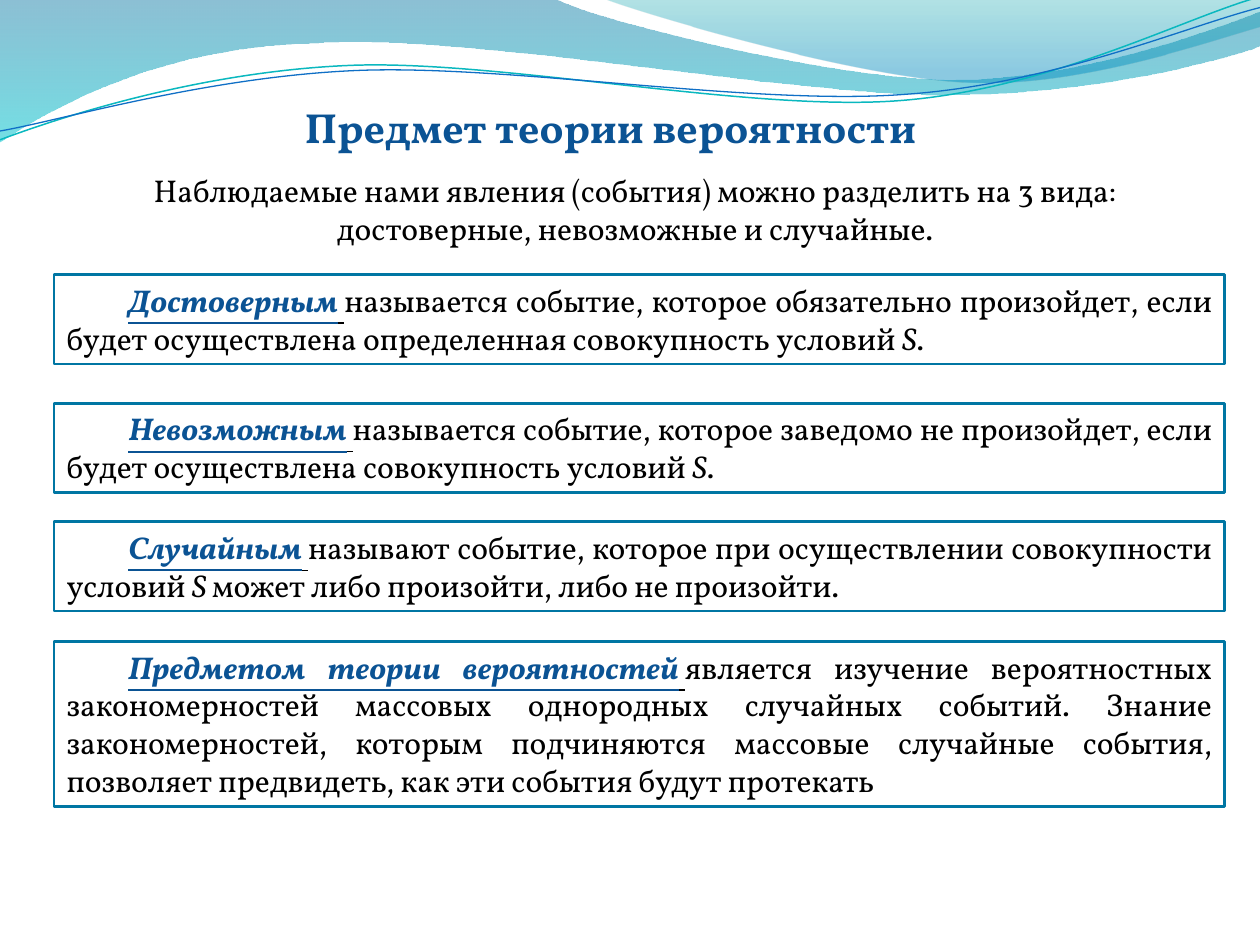
"""Build a slide on the subject of probability theory with a wave header."""
from pptx import Presentation
from pptx.dml.color import RGBColor
from pptx.enum.shapes import MSO_SHAPE
from pptx.enum.text import MSO_ANCHOR, MSO_AUTO_SIZE, PP_ALIGN
from pptx.oxml.ns import qn
from pptx.util import Inches, Pt

RECT = MSO_SHAPE.RECTANGLE
TOP = MSO_ANCHOR.TOP
GROW = MSO_AUTO_SIZE.SHAPE_TO_FIT_TEXT
CENTER, JUSTIFY = PP_ALIGN.CENTER, PP_ALIGN.JUSTIFY

BLACK = RGBColor(0x00, 0x00, 0x00)
NAVY = RGBColor(0x0B, 0x53, 0x94)
BORDER = RGBColor(0x00, 0x76, 0xA3)
WAVE_BLUE = RGBColor(0x00, 0x74, 0xA1)
WAVE_CYAN = RGBColor(0x00, 0xC6, 0xCF)
CREST_TEAL = RGBColor(0x00, 0xA1, 0xA9)
CREST_BLUE = RGBColor(0x00, 0x8B, 0xBF)
LINE_TEAL = RGBColor(0x0A, 0xB8, 0xBF)
LINE_BLUE = RGBColor(0x0F, 0x6F, 0xC6)

BOX_LEFT, BOX_WIDTH = 0.43, 9.29
NBSP = chr(160)

WAVE = [(0, 0), (4.4, -0.01),
        (4.76, 0.17, 6.64, 0.63, 7.58, 0.63), (8.53, 0.63, 9.58, 0.26, 10, 0.09),
        (10.01, 0.36),
        (9.83, 0.44, 8.7, 0.76, 7.46, 0.75), (6.22, 0.75, 3.82, 0.28, 2.57, 0.34),
        (1.29, 0.36, 0.46, 0.83, -0.01, 1.13), (0, 0)]
CREST = [(4.79, -0.01), (5.09, 0.11, 6.82, 0.62, 7.69, 0.65),
         (8.56, 0.69, 9.61, 0.32, 10, 0.21), (10, 0), (4.79, -0.01)]
TEAL_CURVE = [(0, 1.11), (0.48, 0.93, 1.58, 0.57, 2.77, 0.52),
              (3.95, 0.47, 5.93, 0.89, 7.13, 0.8), (8.33, 0.71, 9.38, 0.15, 9.98, -0.02)]
BLUE_CURVE = [(0, 1.04), (0.47, 0.96, 1.64, 0.61, 2.83, 0.56),
              (4.03, 0.51, 5.97, 0.84, 7.17, 0.75), (8.36, 0.67, 9.41, 0.21, 10, 0.06)]

DEFINITIONS = [
    (3.2, 0.71, "Невозможным", False,
     ["называется событие, которое заведомо не произойдет, если будет осуществлена "
      f"совокупность условий{NBSP}", "S", "."]),
    (2.18, 0.71, "Достоверным", True,
     ["называется событие, которое обязательно произойдет, если будет осуществлена "
      f"определенная совокупность условий{NBSP}", "S", "."]),
    (5.09, 1.31, "Предметом теории вероятностей", False,
     ["является изучение вероятностных закономерностей массовых однородных случайных "
      "событий. Знание закономерностей, которым подчиняются массовые случайные события, "
      "позволяет предвидеть, как эти события будут протекать"]),
    (4.14, 0.71, "Случайным", False,
     [f"называют событие, которое при осуществлении совокупности условий{NBSP}",
      f"S{NBSP}", "может либо произойти, либо не произойти."]),
]


def add_run(p, text, size=18, color=BLACK, bold=False, italic=False, underline=False):
    """Append a formatted run to a paragraph."""
    r = p.add_run()
    r.text = text
    font = r.font
    font.name, font.size = "Vollkorn", Pt(size)
    font.bold, font.italic, font.underline = bold, italic, underline
    font.color.rgb = color


class SlideBuilder:
    """Hold the slide and add each kind of element to it."""

    def __init__(self, s):
        self.shapes = s.shapes

    def outline(self, segments, close):
        """Add a freeform of straight lines and cubic curves."""
        points = [(Inches(x), Inches(y)) for segment in segments
                  for x, y in zip(segment[::2], segment[1::2])]
        builder = self.shapes.build_freeform(*points[0], scale=1.0)
        builder.add_line_segments(points[1:], close=close)
        sp = builder.convert_to_shape()
        sp.shadow.inherit = False
        lines = iter(list(sp._element.iter(qn("a:lnTo"))))
        for segment in segments[1:]:
            line = next(lines)
            if len(segment) == 6:
                curve = line.makeelement(qn("a:cubicBezTo"), {})
                line.addprevious(curve)
                for part in (line, next(lines), next(lines)):
                    curve.append(part[0])
                    part.getparent().remove(part)
        return sp

    def wave(self, segments, stops):
        """Add a filled wave with a vertical translucent gradient."""
        sp = self.outline(segments, True)
        sp.line.fill.background()
        sp.fill.gradient()
        sp.fill.gradient_angle = 270
        for stop, (position, color, _) in zip(sp.fill.gradient_stops, stops):
            stop.position, stop.color.rgb = position, color
        gradient = sp._element.spPr.find(qn("a:gradFill"))
        for color, (_, _, opacity) in zip(gradient.iter(qn("a:srgbClr")), stops):
            color.append(color.makeelement(qn("a:alpha"), {"val": str(opacity * 1000)}))

    def curve(self, segments, color, width):
        """Add an open curved line."""
        sp = self.outline(segments, False)
        sp.fill.background()
        sp.line.color.rgb, sp.line.width = color, Pt(width)

    def frame(self, sp, align):
        """Set up the text frame and return its first paragraph."""
        tf = sp.text_frame
        tf.word_wrap, tf.auto_size, tf.vertical_anchor = True, GROW, TOP
        p = tf.paragraphs[0]
        p.alignment = align
        return p

    def text(self, left, top, width, height, text, **style):
        """Add a centred text box."""
        sp = self.shapes.add_textbox(Inches(left), Inches(top), Inches(width), Inches(height))
        add_run(self.frame(sp, CENTER), text, **style)

    def definition(self, top, height, term, bold_gap, parts):
        """Add a bordered box with a term and its definition."""
        sp = self.shapes.add_shape(RECT, Inches(BOX_LEFT), Inches(top),
                                   Inches(BOX_WIDTH), Inches(height))
        sp.shadow.inherit = False
        sp.fill.background()
        sp.line.color.rgb, sp.line.width = BORDER, Pt(1.5)
        p = self.frame(sp, JUSTIFY)
        pPr = p._p.get_or_add_pPr()
        pPr.set("marL", "0")
        pPr.set("indent", str(Inches(0.49)))
        add_run(p, term, color=NAVY, bold=True, italic=True, underline=True)
        add_run(p, NBSP, bold=bold_gap, italic=True, underline=True)
        for i, part in enumerate(parts):
            add_run(p, part, italic=i == 1)


def main():
    """Create and save the presentation."""
    prs = Presentation()
    prs.slide_width, prs.slide_height = Inches(10), Inches(7.5)
    slide = SlideBuilder(prs.slides.add_slide(prs.slide_layouts[6]))
    slide.wave(WAVE, [(0, WAVE_BLUE, 45), (1, WAVE_CYAN, 55)])
    slide.wave(CREST, [(0, CREST_TEAL, 30), (0.8, CREST_BLUE, 45)])
    slide.curve(TEAL_CURVE, LINE_TEAL, 0.85)
    slide.curve(BLUE_CURVE, LINE_BLUE, 0.75)
    slide.text(0.67, 0.76, 8.35, 0.5, "Предмет теории вероятности",
               size=24, color=NAVY, bold=True)
    slide.text(0.75, 1.31, 8.58, 0.71,
               "Наблюдаемые нами явления (события) можно разделить на 3 вида: "
               "достоверные, невозможные и случайные.")
    for definition in DEFINITIONS:
        slide.definition(*definition)
    prs.save("out.pptx")


if __name__ == "__main__":
    main()
